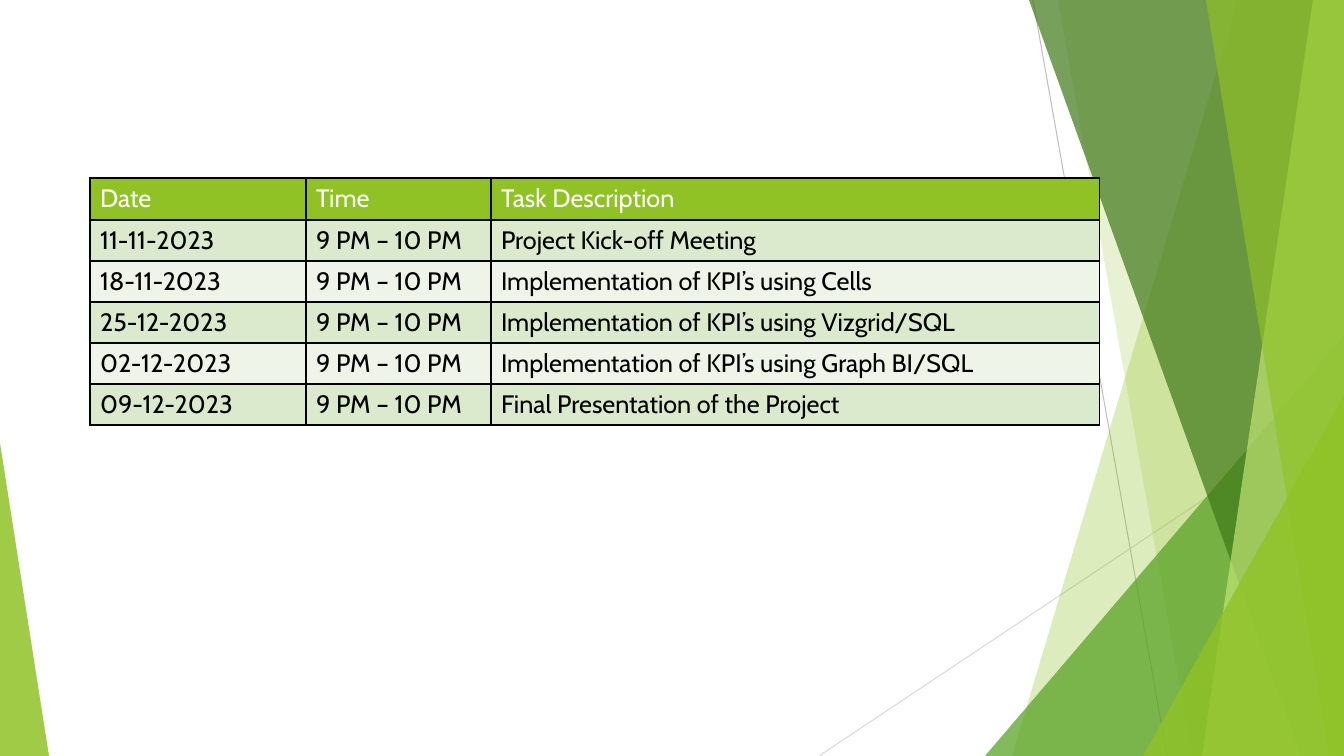
from dataclasses import dataclass
from lxml.etree import SubElement
from pptx import Presentation
from pptx.dml.color import RGBColor
from pptx.enum.shapes import MSO_CONNECTOR, MSO_SHAPE
from pptx.oxml.ns import qn
from pptx.util import Emu, Pt

PX = 914400 / 100.8


@dataclass(frozen=True)
class Theme:
    font: str = "Cabin"
    size: int = 18
    lime: str = "90C226"
    green: str = "54A021"
    forest: str = "3F7819"
    pale_lime: str = "C0E474"
    ray: str = "BFBFBF"
    pale_ray: str = "D9D9D9"
    header_text: str = "FFFFFF"
    text: str = "000000"
    border: str = "000000"
    bands: tuple = ("DBE9CD", "EEF4E8")


THEME = Theme()
COLUMNS = (216, 185, 609)
HEADER = ("Date", "Time", "Task Description")
TIME = "9 PM – 10 PM"
TASKS = (
    ("11-11-2023", "Project Kick-off Meeting"),
    ("18-11-2023", "Implementation of KPI’s using Cells"),
    ("25-12-2023", "Implementation of KPI’s using Vizgrid/SQL"),
    ("02-12-2023", "Implementation of KPI’s using Graph BI/SQL"),
    ("09-12-2023", "Final Presentation of the Project"),
)


def px(*lengths):
    return [Emu(round(n * PX)) for n in lengths]


def paint(sp, color, opacity):
    """Fill without outline or shadow; opacity is in percent."""
    sp.shadow.inherit = False
    sp.line.fill.background()
    sp.fill.solid()
    sp.fill.fore_color.rgb = RGBColor.from_string(color)
    clr = sp.fill._xPr.find(qn("a:solidFill"))[0]
    SubElement(clr, qn("a:alpha"), val=str(opacity * 1000))


def add_ray(s, start, end, color):
    ray = s.shapes.add_connector(MSO_CONNECTOR.STRAIGHT, *px(*start, *end))
    ray.line.color.rgb = RGBColor.from_string(color)
    ray.line.width = Pt(0.75)
    SubElement(ray._element.spPr, qn("a:effectLst"))


def add_facet(s, box, top_x, bottom_x, color, opacity):
    """Full-height facet with a slanted left edge, reaching the box's right side."""
    x, y, w, h = box
    builder = s.shapes.build_freeform(x + top_x, y, scale=PX)
    builder.add_line_segments([(x + w, y), (x + w, y + h), (x + bottom_x, y + h)])
    paint(builder.convert_to_shape(), color, opacity)


def add_corner(s, box, apex, color, opacity):
    """Triangle whose apex is at the left (0) or right (1) of the box."""
    sp = s.shapes.add_shape(MSO_SHAPE.ISOSCELES_TRIANGLE, *px(*box))
    sp.adjustments[0] = apex
    paint(sp, color, opacity)


def add_right_facets(s, box):
    x, y, w, h = box

    def corner(width, height, color, opacity):
        place = (x + w - width, y + h - height, width, height)
        add_corner(s, place, 1, color, opacity)

    add_ray(s, (x + 214, y), (x + 348, y + h), THEME.ray)
    add_ray(s, (x + w, y + 406), (x, y + h), THEME.pale_ray)
    add_facet(s, box, 419, 193, THEME.lime, 30)
    add_facet(s, box, 239, 373, THEME.lime, 20)
    corner(359, 420, THEME.green, 72)
    add_facet(s, box, 210, 482, THEME.forest, 70)
    add_facet(s, box, 494, 383, THEME.pale_lime, 70)
    add_facet(s, box, 387, 510, THEME.lime, 65)
    corner(201, 360, THEME.lime, 80)


def format_cell(cell, fill, color):
    tcPr = cell._tc.get_or_add_tcPr()
    for side in ("lnL", "lnR", "lnT", "lnB"):
        ln = SubElement(tcPr, qn(f"a:{side}"), w=str(Pt(1)))
        SubElement(SubElement(ln, qn("a:solidFill")), qn("a:srgbClr"), val=THEME.border)
    cell.fill.solid()
    cell.fill.fore_color.rgb = RGBColor.from_string(fill)
    font = cell.text_frame.paragraphs[0].runs[0].font
    font.name, font.size, font.bold = THEME.font, Pt(THEME.size), False
    font.color.rgb = RGBColor.from_string(color)


def add_schedule(s, box):
    rows = [HEADER] + [(date, TIME, task) for date, task in TASKS]
    table = s.shapes.add_table(len(rows), len(COLUMNS), *px(*box)).table
    for column, width in zip(table.columns, px(*COLUMNS)):
        column.width = width
    row_height = box[3] // len(rows)
    header_height = box[3] - row_height * len(TASKS)
    for i, values in enumerate(rows):
        table.rows[i].height = px(row_height if i else header_height)[0]
        fill = THEME.bands[(i - 1) % 2] if i else THEME.lime
        color = THEME.text if i else THEME.header_text
        for j, value in enumerate(values):
            cell = table.cell(i, j)
            cell.text_frame.text = value
            format_cell(cell, fill, color)


def main():
    prs = Presentation()
    prs.slide_width, prs.slide_height = px(1344, 756)
    s = prs.slides.add_slide(prs.slide_layouts[6])
    add_right_facets(s, (819, 0, 525, 756))
    add_corner(s, (0, 443, 49, 313), 0, THEME.lime, 85)
    add_schedule(s, (90, 178, sum(COLUMNS), 247))
    prs.save("out.pptx")


if __name__ == "__main__":
    main()
